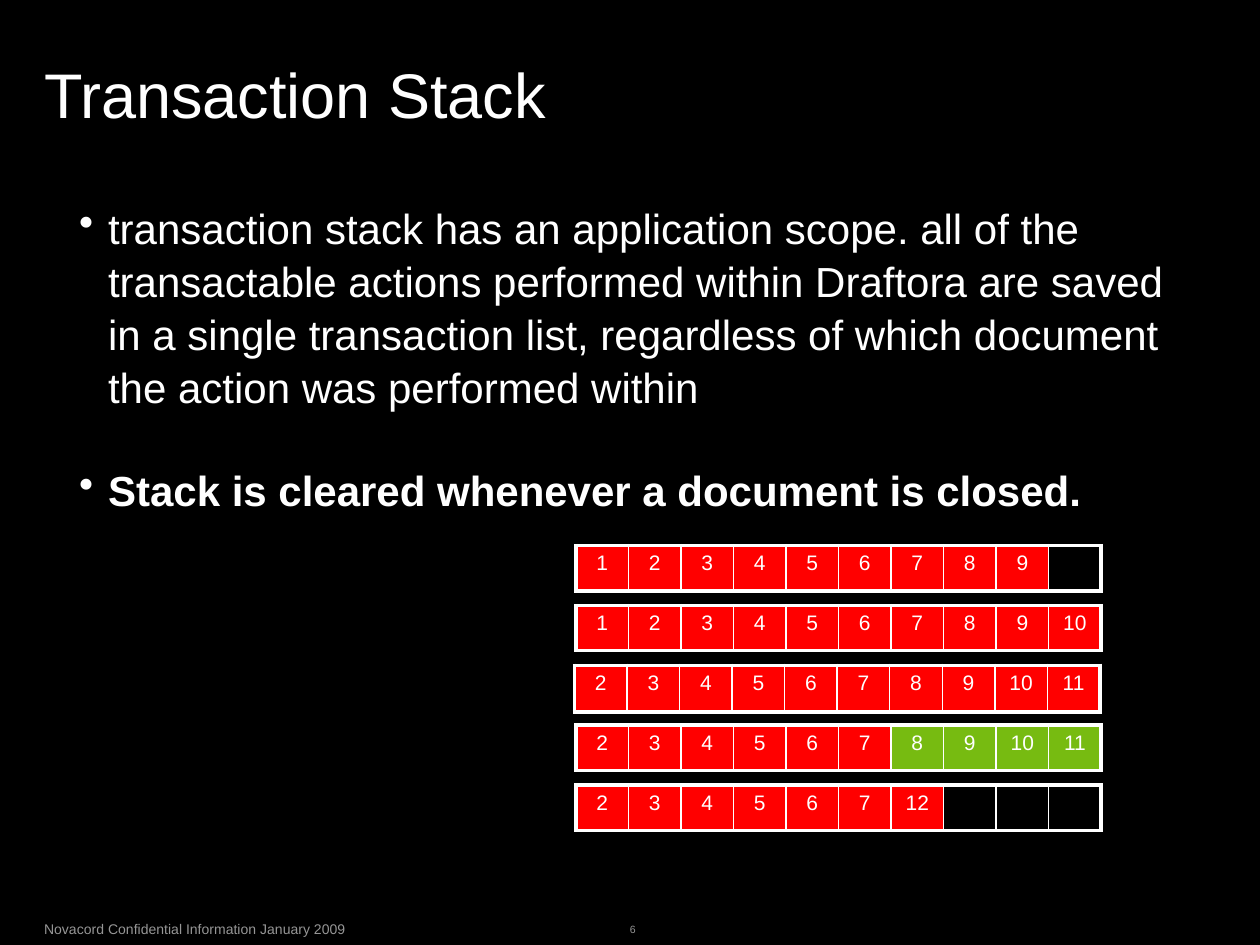
"""Build the Transaction Stack slide."""
from dataclasses import dataclass

import pptx
import pptx.dml.color
import pptx.enum.text
import pptx.oxml
import pptx.oxml.ns
import pptx.util

Inches = pptx.util.Inches
Pt = pptx.util.Pt
Anchor = pptx.enum.text.MSO_ANCHOR
COLORS = {"background": "000000", "text": "FFFFFF", "footer": "969696",
          "done": "FF0000", "undone": "77BB11", "empty": "000000"}
FONT = "Arial"
SLOTS = 10
STACK_WIDTH = 4.17
STACK_HEIGHT = 0.36
FIRST_STACK_TOP = 4.33
LAST_STACK_TOP = 6.23
BULLET_INDENT = 0.23


@dataclass
class Label:
    text: str
    left: float
    top: float
    width: float
    height: float
    size: float
    color: str
    line_spacing: float = 1.0


@dataclass
class Stack:
    done: list[int]
    undone: list[int]
    left: float = 4.57
    height: float = STACK_HEIGHT
    empty_filled: bool = True


LABELS = [
    Label("6", 5, 7.3, 0.33, 0.15, 6, "footer"),
    Label("Novacord Confidential Information January 2009",
          0.35, 7.3, 4, 0.15, 8, "footer"),
    Label("Transaction Stack", 0.35, 0.15, 8.82, 1.25, 36, "text", 0.9),
]
POINTS = [
    ("transaction stack has an application scope. all of the transactable "
     "actions performed within Draftora are saved in a single transaction "
     "list, regardless of which document the action was performed within", False),
    ("Stack is cleared whenever a document is closed.", True),
]
STACKS = [
    Stack(list(range(1, 10)), [], empty_filled=False),
    Stack(list(range(1, 11)), []),
    Stack(list(range(2, 12)), [], left=4.56, height=0.37),
    Stack(list(range(2, 8)), list(range(8, 12))),
    Stack([*range(2, 8), 12], []),
]


def rgb(name: str) -> pptx.dml.color.RGBColor:
    return pptx.dml.color.RGBColor.from_string(COLORS[name])


def format_runs(paragraph, size: float, color: str = "text", bold: bool = False) -> None:
    for run in paragraph.runs:
        run.font.name = FONT
        run.font.size = Pt(size)
        run.font.bold = bold
        run.font.color.rgb = rgb(color)


def add_label(slide, label: Label) -> None:
    frame = slide.shapes.add_textbox(Inches(label.left), Inches(label.top),
                                     Inches(label.width), Inches(label.height)).text_frame
    frame.word_wrap = True
    frame.vertical_anchor = Anchor.MIDDLE
    frame.margin_left = frame.margin_right = frame.margin_top = frame.margin_bottom = 0
    frame.text = label.text
    frame.paragraphs[0].line_spacing = label.line_spacing
    format_runs(frame.paragraphs[0], label.size, label.color)


def add_points(slide) -> None:
    frame = slide.shapes.add_textbox(Inches(0.53), Inches(1.54),
                                     Inches(8.93), Inches(4.14)).text_frame
    frame.word_wrap = True
    for index, (text, bold) in enumerate(POINTS):
        paragraph = frame.add_paragraph() if index else frame.paragraphs[0]
        paragraph.text = text
        paragraph.line_spacing = 1.05
        paragraph.space_before = Pt(28.8 * index)
        format_runs(paragraph, 24, bold=bold)
        properties = paragraph._p.get_or_add_pPr()
        properties.set("marL", str(Inches(BULLET_INDENT)))
        properties.set("indent", str(-Inches(BULLET_INDENT)))
        properties.append(pptx.oxml.parse_xml(
            f'<a:buChar {pptx.oxml.ns.nsdecls("a")} char="•"/>'))


def set_borders(cell, slot: int) -> None:
    widths = {"L": 1 if slot else 2.25, "R": 1 if slot < SLOTS - 1 else 2.25,
              "T": 2.25, "B": 2.25}
    properties = cell._tc.get_or_add_tcPr()
    for index, (side, width) in enumerate(widths.items()):
        properties.insert(index, pptx.oxml.parse_xml(
            f'<a:ln{side} {pptx.oxml.ns.nsdecls("a")} w="{Pt(width)}"><a:solidFill>'
            f'<a:srgbClr val="{COLORS["text"]}"/></a:solidFill></a:ln{side}>'))


def add_stack(slide, stack: Stack, top: float) -> None:
    table = slide.shapes.add_table(1, SLOTS, Inches(stack.left), Inches(top),
                                   Inches(STACK_WIDTH), Inches(stack.height)).table
    table.first_row = table.horz_banding = False
    entries = [(str(number), "done") for number in stack.done]
    entries += [(str(number), "undone") for number in stack.undone]
    entries += [("", "empty")] * (SLOTS - len(entries))
    for slot, (text, state) in enumerate(entries):
        cell = table.cell(0, slot)
        cell.text_frame.text = text
        paragraph = cell.text_frame.paragraphs[0]
        paragraph.alignment = pptx.enum.text.PP_ALIGN.CENTER
        format_runs(paragraph, 12)
        if not text:
            paragraph._p.append(pptx.oxml.parse_xml(
                f'<a:endParaRPr {pptx.oxml.ns.nsdecls("a")} sz="1200"/>'))
        if state == "empty" and not stack.empty_filled:
            cell.fill.background()
        else:
            cell.fill.solid()
            cell.fill.fore_color.rgb = rgb(state)
        set_borders(cell, slot)


def main() -> None:
    deck = pptx.Presentation()
    deck.slide_width, deck.slide_height = Inches(10), Inches(7.5)
    slide = deck.slides.add_slide(deck.slide_layouts[6])
    slide.background.fill.solid()
    slide.background.fill.fore_color.rgb = rgb("background")
    for label in LABELS:
        add_label(slide, label)
    add_points(slide)
    pitch = (LAST_STACK_TOP - FIRST_STACK_TOP) / (len(STACKS) - 1)
    for index, stack in enumerate(STACKS):
        add_stack(slide, stack, FIRST_STACK_TOP + index * pitch)
    deck.save("out.pptx")


main()
